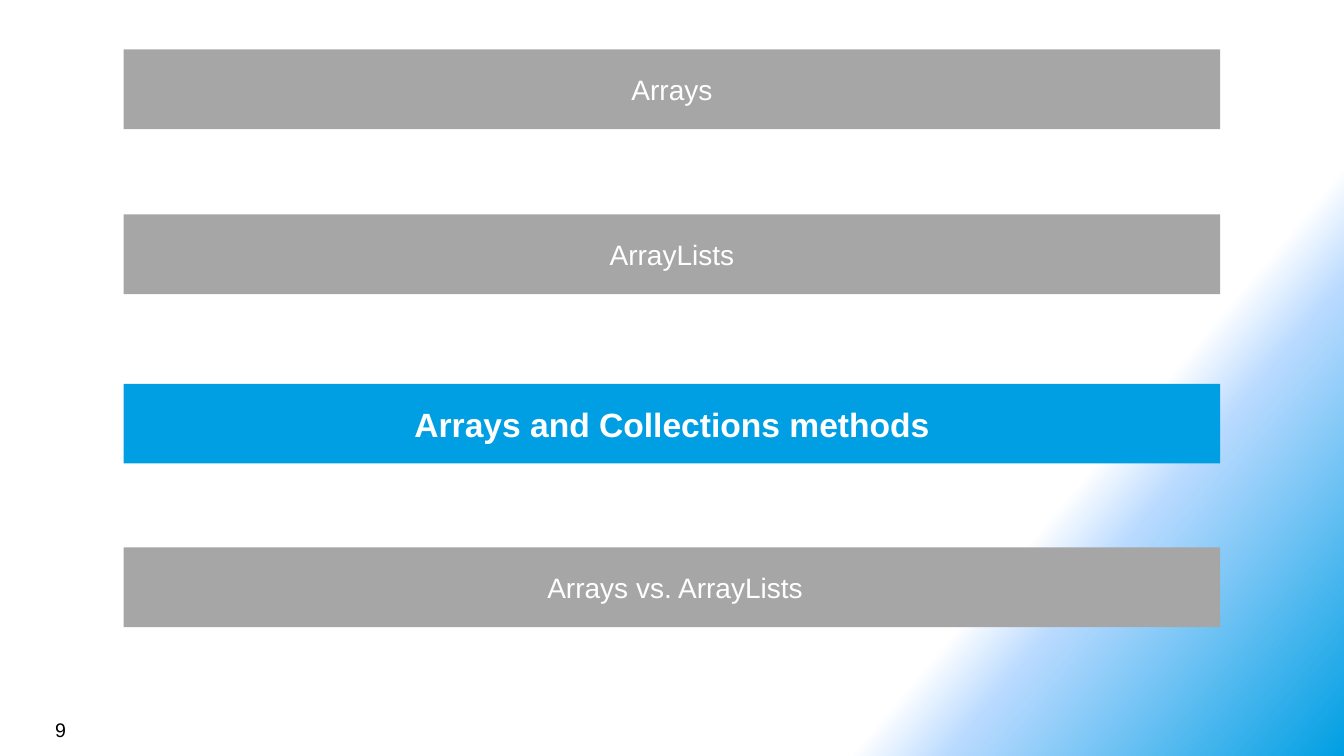
"""Builds an agenda slide with the current topic highlighted."""
from lxml import etree
from pptx import Presentation
from pptx.dml.color import RGBColor
from pptx.enum import shapes, text
from pptx.oxml.ns import qn
from pptx.util import Pt

WHITE = RGBColor(0xFF, 0xFF, 0xFF)
BLACK = RGBColor(0, 0, 0)
GRAY = RGBColor(0xA6, 0xA6, 0xA6)
PALE = RGBColor(0xB9, 0xDA, 0xFF)
BLUE = RGBColor(0x00, 0x9F, 0xE3)


class Deck:
    def __init__(self, slide, font="Arial"):
        self.slide = slide
        self.font = font

    def back(self, stops, angle):
        fill = self.slide.background.fill
        fill.gradient()
        fill.gradient_angle = 360 - angle
        group = next(self.slide.element.iter(qn("a:gsLst")))
        for old in list(group):
            group.remove(old)
        for spot, color, alpha in stops:
            stop = etree.SubElement(group, qn("a:gs"), pos=str(spot * 1000))
            tone = etree.SubElement(stop, qn("a:srgbClr"), val=str(color))
            if alpha < 100:
                etree.SubElement(tone, qn("a:alpha"), val=str(alpha * 1000))

    def style(self, frame, words, size, color, bold=False):
        frame.word_wrap = True
        line = frame.paragraphs[0]
        line.text = words
        line.font.name = self.font
        line.font.size = Pt(size)
        line.font.bold = bold
        line.font.color.rgb = color
        return line

    def bar(self, top, words, active):
        shape = self.slide.shapes.add_shape(
            shapes.MSO_SHAPE.RECTANGLE, Pt(88.4), Pt(top), Pt(783.2), Pt(56.9))
        shape.shadow.inherit = False
        shape.fill.solid()
        shape.fill.fore_color.rgb = BLUE if active else GRAY
        shape.line.fill.background()
        frame = shape.text_frame
        frame.vertical_anchor = text.MSO_ANCHOR.MIDDLE
        line = self.style(frame, words, 24 if active else 20, WHITE, active)
        line.alignment = text.PP_ALIGN.CENTER

    def label(self, left, top, width, height, words, size):
        box = self.slide.shapes.add_textbox(Pt(left), Pt(top), Pt(width), Pt(height))
        self.style(box.text_frame, words, size, BLACK)


show = Presentation()
show.slide_width, show.slide_height = Pt(960), Pt(540)
deck = Deck(show.slides.add_slide(show.slide_layouts[6]))
deck.back([(75, WHITE, 100), (80, PALE, 50), (100, BLUE, 100)], 40)

topics = [
    (35.3, "Arrays"),
    (153.2, "ArrayLists"),
    (274.2, "Arrays and Collections methods"),
    (391, " Arrays vs. ArrayLists"),
]
for index, (top, words) in enumerate(topics):
    deck.bar(top, words, index == 2)
deck.label(32.4, 509, 224, 24, "9", 14)

show.save("out.pptx")
